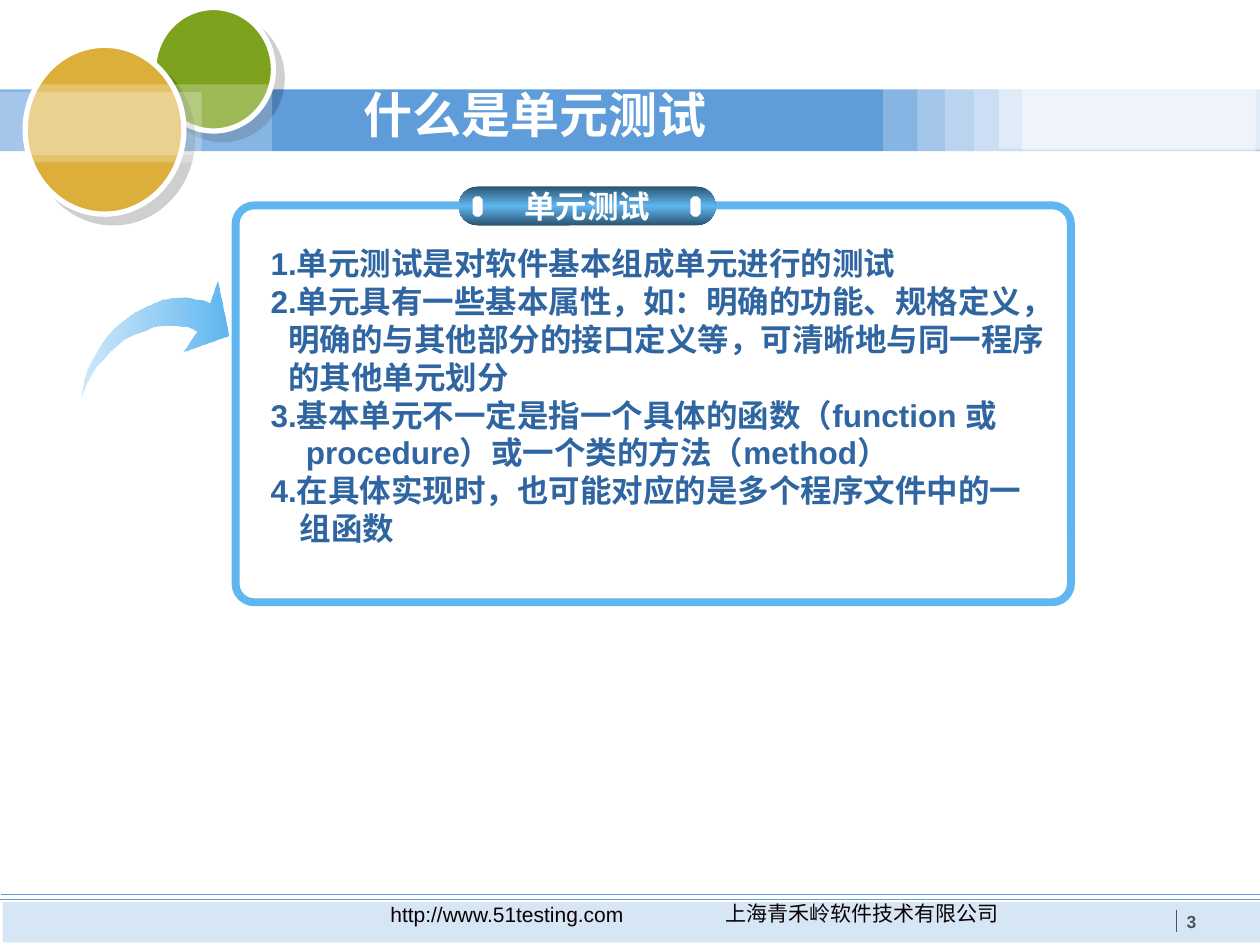
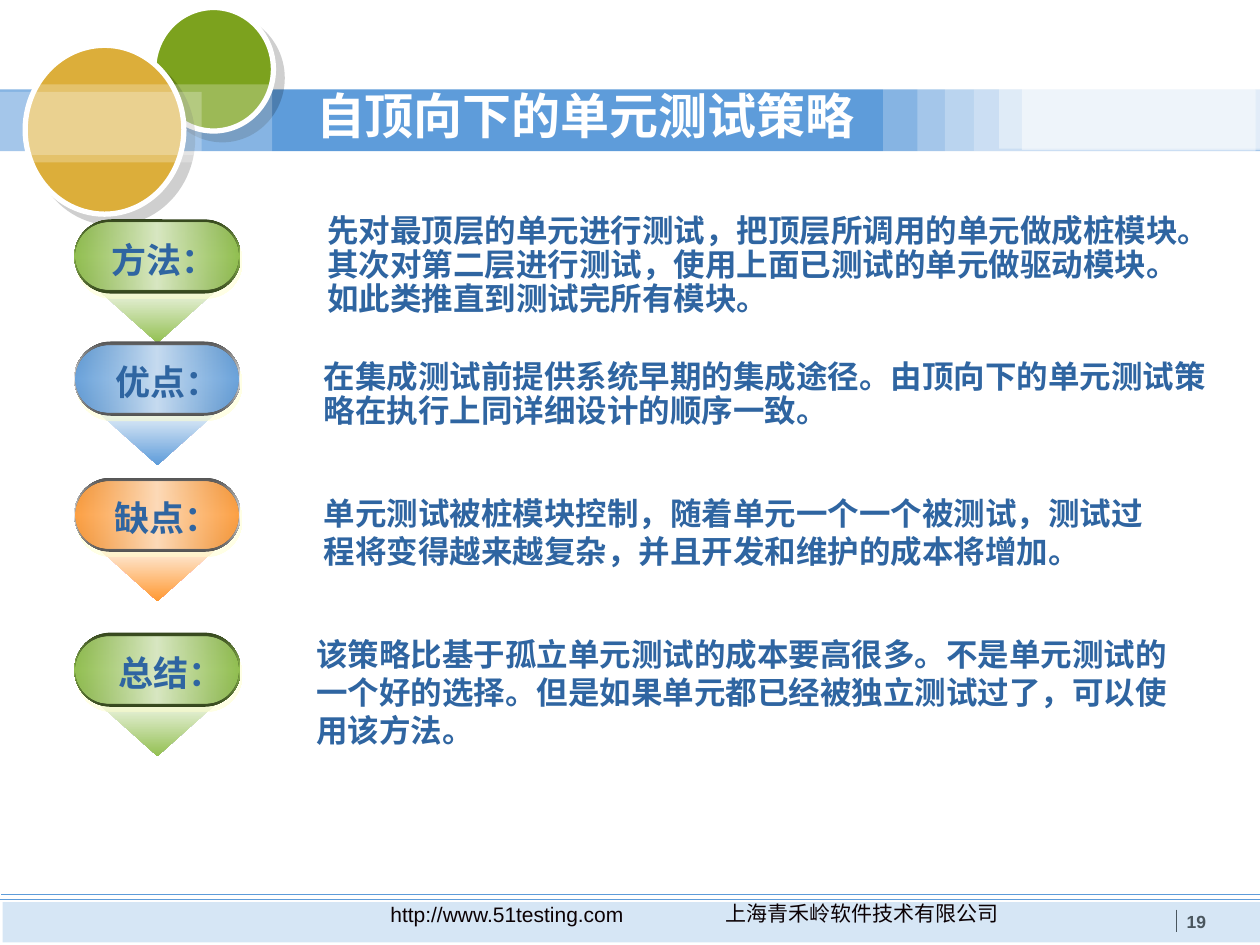
from pptx import Presentation
from pptx.dml.color import RGBColor
from pptx.enum.shapes import MSO_CONNECTOR, MSO_SHAPE
from pptx.enum.text import MSO_ANCHOR, PP_ALIGN
from pptx.oxml import parse_xml
from pptx.oxml.ns import nsdecls, qn
from pptx.util import Inches, Pt

FONT = "Arial"
COLORS = {
    "white": "FFFFFF", "black": "000000", "blue": "5E9CDA", "green": "7CA21E",
    "gold": "DCAE3A", "footer": "0B0104", "slate": "4A565E", "text": "2F65A1",
    "sky": "5FB6F1", "pale_sky": "6DBBF1", "deep_sky": "2B536F",
    "leaf": "93C052", "pale_leaf": "D9E8C3", "deep_leaf": "34451D",
    "pale_blue": "C7DCF1", "orange": "FF9933", "pale_orange": "FEDBB9",
    "gray": "545454", "silver": "EAEAEA", "near_white": "FEFEFE", "cream": "FFFFCC",
}

# Shared decoration: (left, top, width, height, opacity)
FADE_STRIPS = [
    (7.01, 0.68, 2.95, 0.56, 25), (7.28, 0.7, 2.72, 0.57, 25),
    (7.5, 0.69, 2.5, 0.57, 25), (7.73, 0.71, 2.24, 0.49, 25),
    (7.93, 0.69, 2.07, 0.49, 40), (8.11, 0.7, 1.89, 0.49, 48),
]
GLOSS_STRIPS = [(0, 0.67, 2.16, 0.56, 25), (0, 0.73, 1.6, 0.56, 25)]
FOOTERS = [
    ("上海青禾岭软件技术有限公司", (5.08, 7.1, 3.52, 0.3)),
    ("http://www.51testing.com", (2.39, 7.11, 3.27, 0.3)),
]

DEFINITION = {
    "title": "什么是单元测试", "title_box": (2.79, 0.41, 3.47, 1.04), "number": "3",
    "heading": "单元测试",
    # (hanging indent, lines)
    "items": [
        (0, ["1.单元测试是对软件基本组成单元进行的测试"]),
        (0.14, ["2.单元具有一些基本属性，如：明确的功能、规格定义，",
                "明确的与其他部分的接口定义等，可清晰地与同一程序",
                "的其他单元划分"]),
        (0.28, ["3.基本单元不一定是指一个具体的函数（function 或",
                "procedure）或一个类的方法（method）"]),
        (0.23, ["4.在具体实现时，也可能对应的是多个程序文件中的一", "组函数"]),
    ],
}

STRATEGY = {
    "title": "自顶向下的单元测试策略", "title_box": (2.41, 0.42, 5.11, 1.04), "number": "19",
    # label, label left, pill top, palette, text box, line spacing, lines
    "rows": [
        ("方法：", 0.79, 1.74, "leaf", (2.5, 1.66, 7.03, 0.91), 0.9,
         ["先对最顶层的单元进行测试，把顶层所调用的单元做成桩模块。"
          "其次对第二层进行测试，使用上面已测试的单元做驱动模块。如此类推直到测试完所有模块。"]),
        ("优点：", 0.82, 2.71, "blue", (2.47, 2.82, 7.22, 0.64), 0.9,
         ["在集成测试前提供系统早期的集成途径。由顶向下的单元测试策略在执行上同详细设计的顺序一致。"]),
        ("缺点：", 0.81, 3.79, "orange", (2.47, 3.87, 7.0, 0.7), 1.0,
         ["单元测试被桩模块控制，随着单元一个一个被测试，测试过",
          "程将变得越来越复杂，并且开发和维护的成本将增加。"]),
        ("总结：", 0.84, 5.02, "leaf", (2.41, 4.99, 7.15, 1.0), 1.0,
         ["该策略比基于孤立单元测试的成本要高很多。不是单元测试的一个好的选择。"
          "但是如果单元都已经被独立测试过了，可以使用该方法。"]),
    ],
}
RIMS = {"leaf": ("deep_leaf", "leaf"), "blue": ("gray", "silver"), "orange": ("gray", "silver")}

# Curved arrow outline in hundredths of an inch
ARROW = [
    (65, 315), (67, 310), (71, 301), (77, 291), (82, 286), (87, 280), (93, 275),
    (99, 270), (107, 266), (115, 263), (122, 260), (129, 259), (140, 259), (149, 260),
    (156, 263), (145, 280), (181, 267), (172, 223), (166, 241), (162, 239), (155, 238),
    (146, 236), (135, 237), (129, 238), (122, 241), (115, 244), (107, 248), (99, 254),
    (92, 260), (86, 266), (81, 273), (77, 280), (73, 287), (70, 293), (68, 299),
    (67, 304), (66, 309),
]


def rgb(color):
    return RGBColor.from_string(COLORS[color])


def color_xml(color, opacity=100):
    return (f'<a:srgbClr val="{COLORS[color]}">'
            f'<a:alpha val="{opacity * 1000}"/></a:srgbClr>')


def fill_gradient(shape, angle, *stops):
    """Fill with (position, colour, opacity) stops, angle in degrees clockwise."""
    stop_xml = "".join(f'<a:gs pos="{position * 1000}">{color_xml(color, opacity)}</a:gs>'
                       for position, color, opacity in stops)
    shape.fill.background()
    properties = shape._element.spPr
    properties.replace(properties.find(qn("a:noFill")), parse_xml(
        f'<a:gradFill {nsdecls("a")} rotWithShape="1"><a:gsLst>{stop_xml}</a:gsLst>'
        f'<a:lin ang="{angle * 60000}" scaled="0"/></a:gradFill>'))


def add_shadow(shape, color, opacity, distance, angle):
    effects = shape._element.spPr.find(qn("a:effectLst"))
    effects.append(parse_xml(
        f'<a:outerShdw {nsdecls("a")} blurRad="0" dist="{Pt(distance)}" '
        f'dir="{angle * 60000}" algn="ctr" rotWithShape="0">'
        f'{color_xml(color, opacity)}</a:outerShdw>'))


def add_shape(slide, kind, box, fill=None, opacity=100, line=None, line_width=0, radius=None):
    shape = slide.shapes.add_shape(kind, *map(Inches, box))
    shape.shadow.inherit = False
    if radius is not None:
        shape.adjustments[0] = radius
    if fill:
        shape.fill.solid()
        shape.fill.fore_color.rgb = rgb(fill)
        if opacity < 100:
            solid = shape._element.spPr.find(qn("a:solidFill"))
            solid.replace(solid[0], parse_xml(
                color_xml(fill, opacity).replace("<a:srgbClr", f'<a:srgbClr {nsdecls("a")}', 1)))
    else:
        shape.fill.background()
    if line:
        shape.line.color.rgb = rgb(line)
        shape.line.width = Pt(line_width)
    else:
        shape.line.fill.background()
    return shape


def add_line(slide, start, end, color):
    line = slide.shapes.add_connector(MSO_CONNECTOR.STRAIGHT, *map(Inches, start + end))
    line.line.color.rgb = rgb(color)
    line.line.width = Pt(0.75)
    line._element.spPr.append(parse_xml(f'<a:effectLst {nsdecls("a")}/>'))


def write(shape, items, size, color, bold=True, align=PP_ALIGN.LEFT,
          anchor=MSO_ANCHOR.TOP, spacing=1.0):
    """Write one paragraph per (hanging indent, lines) item."""
    frame = shape.text_frame
    frame.word_wrap = True
    frame.vertical_anchor = anchor
    for index, (indent, lines) in enumerate(items):
        paragraph = frame.add_paragraph() if index else frame.paragraphs[0]
        paragraph.alignment = align
        paragraph.line_spacing = spacing
        if indent:
            properties = paragraph._p.get_or_add_pPr()
            properties.set("marL", str(Inches(indent)))
            properties.set("indent", str(-Inches(indent)))
        for line_index, text in enumerate(lines):
            if line_index:
                paragraph.add_line_break()
            run = paragraph.add_run()
            run.text = text
            run.font.name = FONT
            run.font.size = Pt(size)
            run.font.bold = bold
            run.font.color.rgb = rgb(color)


def add_text(slide, box, items, size, color, **style):
    write(slide.shapes.add_textbox(*map(Inches, box)), items, size, color, **style)


def add_strips(slide, strips):
    for *box, opacity in strips:
        add_shape(slide, MSO_SHAPE.RECTANGLE, box, "white", opacity)


def add_disc(slide, box, color):
    disc = add_shape(slide, MSO_SHAPE.OVAL, box, color, line="white", line_width=3)
    add_shadow(disc, "black", 19, 7.1, 45)


def add_base_slide(presentation, content):
    """Add a slide with the band, discs, footer, page number and title."""
    slide = presentation.slides.add_slide(presentation.slide_layouts[6])
    add_shape(slide, MSO_SHAPE.RECTANGLE, (0, 0.71, 10, 0.49), "blue")
    add_disc(slide, (1.22, 0.06, 0.95, 0.98), "green")
    add_strips(slide, FADE_STRIPS)
    add_shape(slide, MSO_SHAPE.RECTANGLE, (0.02, 7.16, 9.98, 0.32), "blue", 25)
    for left, top in ((0.01, 7.1), (0, 7.14)):
        add_line(slide, (left, top), (10, top), "blue")
    add_line(slide, (9.34, 7.22), (9.34, 7.4), "slate")
    for text, box in FOOTERS:
        add_text(slide, box, [(0, [text])], 12, "footer", bold=False, align=PP_ALIGN.CENTER)
    add_disc(slide, (0.2, 0.36, 1.26, 1.34), "gold")
    add_strips(slide, GLOSS_STRIPS)
    add_text(slide, (9.32, 7.18, 0.48, 0.27), [(0, [content["number"]])], 10, "slate")
    add_text(slide, content["title_box"], [(0, [content["title"]])], 28, "white",
             anchor=MSO_ANCHOR.MIDDLE, spacing=0.9)
    return slide


def add_arrow(slide):
    builder = slide.shapes.build_freeform(*ARROW[0], scale=Inches(0.01))
    builder.add_line_segments(ARROW[1:], close=True)
    arrow = builder.convert_to_shape()
    arrow.shadow.inherit = False
    arrow.line.fill.background()
    fill_gradient(arrow, 180, (0, "sky", 100), (100, "pale_sky", 32))


def add_pill(slide, box, angle, edge, middle, opacity=100):
    pill = add_shape(slide, MSO_SHAPE.ROUNDED_RECTANGLE, box, radius=0.5)
    fill_gradient(pill, angle, (0, edge, opacity), (50, middle, 100), (100, edge, opacity))
    return pill


def build_definition(presentation):
    slide = add_base_slide(presentation, DEFINITION)
    add_arrow(slide)
    add_shape(slide, MSO_SHAPE.ROUNDED_RECTANGLE, (1.87, 1.63, 6.63, 3.15),
              line="sky", line_width=4.5, radius=0.047)
    heading = add_pill(slide, (3.64, 1.48, 2.04, 0.31), 90, "deep_sky", "sky")
    write(heading, [(0, [DEFINITION["heading"]])], 18, "white",
          align=PP_ALIGN.CENTER, anchor=MSO_ANCHOR.MIDDLE)
    for left in (3.75, 5.48):
        add_shape(slide, MSO_SHAPE.OCTAGON, (left, 1.56, 0.08, 0.16), "white", radius=0.293)
    add_text(slide, (2.05, 1.89, 6.59, 3.18), DEFINITION["items"], 18, "text")


def build_strategy(presentation):
    slide = add_base_slide(presentation, STRATEGY)
    for label, label_left, top, color, text_box, spacing, lines in STRATEGY["rows"]:
        pointer = add_shape(slide, MSO_SHAPE.FLOWCHART_MERGE, (0.7, top + 0.49, 1.1, 0.49))
        fill_gradient(pointer, 90, (0, "near_white", 100), (100, color, 100))
        rim = add_pill(slide, (0.59, top, 1.32, 0.59), 90, *RIMS[color])
        add_shadow(rim, "cream", 50, 3.2, 72)
        add_pill(slide, (0.6, top + 0.03, 1.29, 0.53), 180, color, "pale_" + color, 90)
        add_text(slide, (label_left, top + 0.1, 1.1, 0.44), [(0, [label])], 20, "text")
        add_text(slide, text_box, [(0, lines)], 18, "text", spacing=spacing)


def main():
    presentation = Presentation()
    presentation.slide_width = Inches(10)
    presentation.slide_height = Inches(7.5)
    build_definition(presentation)
    build_strategy(presentation)
    presentation.save("out.pptx")


if __name__ == "__main__":
    main()
